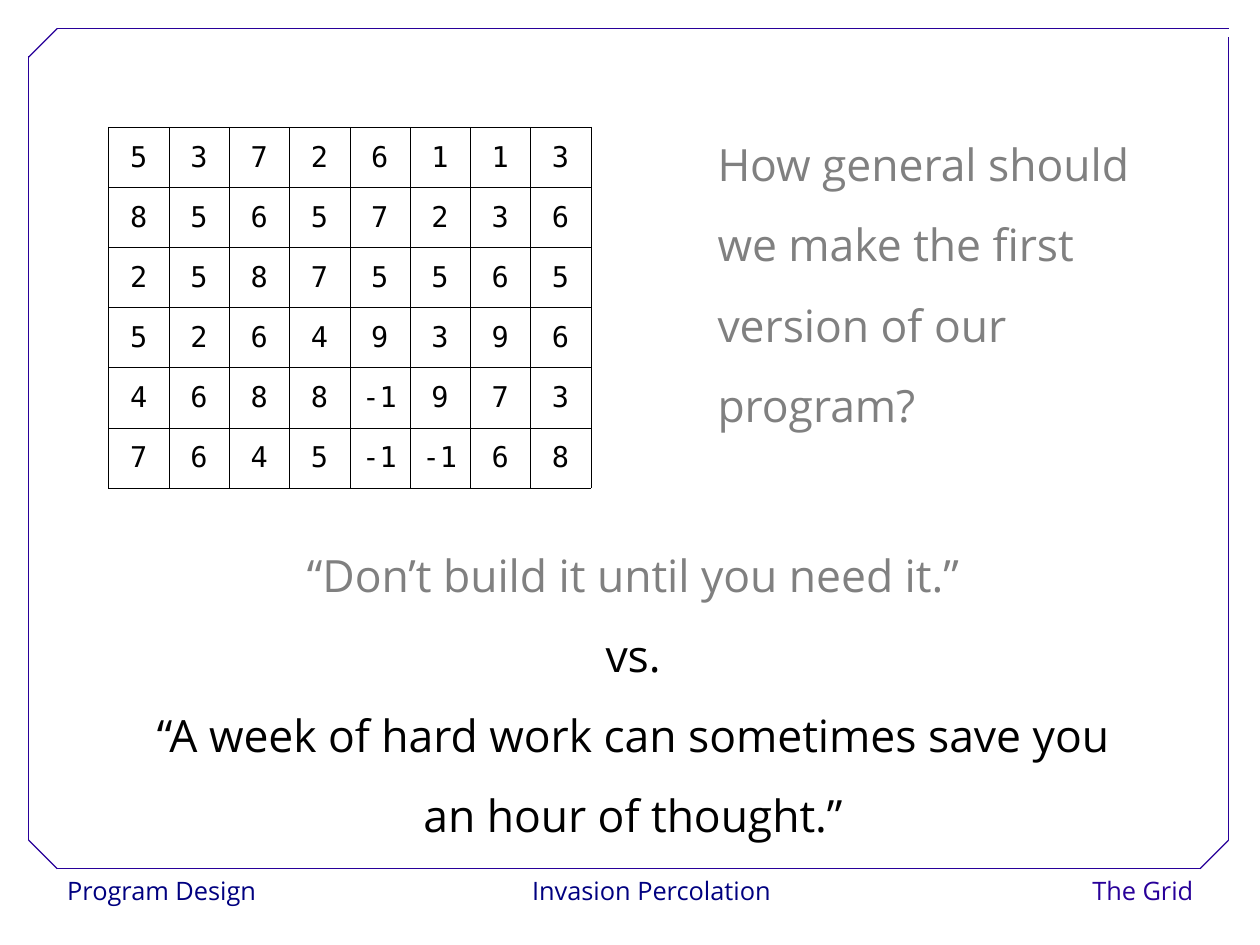
from lxml.etree import SubElement
from pptx import Presentation
from pptx.dml.color import RGBColor
from pptx.enum.shapes import MSO_CONNECTOR, MSO_SHAPE
from pptx.enum.text import MSO_ANCHOR, MSO_AUTO_SIZE, PP_ALIGN
from pptx.oxml.ns import qn
from pptx.util import Inches, Pt

WHITE = RGBColor(0xFF, 0xFF, 0xFF)
BLACK = RGBColor(0x00, 0x00, 0x00)
GRAY = RGBColor(0x80, 0x80, 0x80)
NAVY = RGBColor(0x00, 0x00, 0x80)
INDIGO = RGBColor(0x28, 0x00, 0x99)

GRID = [
    [5, 3, 7, 2, 6, 1, 1, 3],
    [8, 5, 6, 5, 7, 2, 3, 6],
    [2, 5, 8, 7, 5, 5, 6, 5],
    [5, 2, 6, 4, 9, 3, 9, 6],
    [4, 6, 8, 8, -1, 9, 7, 3],
    [7, 6, 4, 5, -1, -1, 6, 8],
]
FRAME = [
    (0.5, 7.6, 10.5, 7.6),
    (0.25, 7.35, 0.25, 0.49),
    (0.5, 0.25, 10.75, 0.25),
    (10.75, 7.35, 10.75, 0.32),
    (0.25, 0.5, 0.5, 0.25),
    (10.5, 7.6, 10.75, 7.35),
    (0.25, 7.35, 0.5, 7.6),
]
FOOTERS = [
    ("Program Design", 0.49, 1.8, PP_ALIGN.LEFT, NAVY),
    ("Invasion Percolation", 4.58, 2.24, PP_ALIGN.CENTER, NAVY),
    ("The Grid", 9.14, 1.4, PP_ALIGN.RIGHT, INDIGO),
]
QUESTION = ["How general should", "we make the first", "version of our", "program?"]
MAXIMS = [
    ("“Don’t build it until you need it.”", GRAY),
    ("vs.", BLACK),
    ("“A week of hard work can sometimes save you", BLACK),
    ("an hour of thought.”", BLACK),
]


class SlideBuilder:
    sans, mono = "Open Sans", "DejaVu Sans Mono"

    def __init__(self, slide):
        self.shapes = slide.shapes

    def style(self, p, size, color, align, spacing=1.02, font=sans):
        p.alignment = align
        p.line_spacing = spacing
        p.font.name = font
        p.font.size = Pt(size)
        p.font.color.rgb = color

    def footer(self, text, x, w, align, color):
        s = self.shapes.add_shape(MSO_SHAPE.RECTANGLE, Inches(x), Inches(7.6), Inches(w), Inches(0.4))
        s.shadow.inherit = False
        s.fill.solid()
        s.fill.fore_color.rgb = WHITE
        s.line.fill.background()
        tf = s.text_frame
        tf.word_wrap = False
        tf.vertical_anchor = MSO_ANCHOR.TOP
        tf.text = text
        self.style(tf.paragraphs[0], 16, color, align)

    def line(self, x1, y1, x2, y2):
        c = self.shapes.add_connector(
            MSO_CONNECTOR.STRAIGHT, Inches(x1), Inches(y1), Inches(x2), Inches(y2))
        c.line.color.rgb = INDIGO
        c.line.width = Pt(0.75)
        SubElement(c._element.spPr, qn("a:effectLst"))

    def text(self, lines, x, y, w, h, align, wrap):
        """Add a text box with one paragraph per (text, colour) pair."""
        tf = self.shapes.add_textbox(Inches(x), Inches(y), Inches(w), Inches(h)).text_frame
        tf.word_wrap = wrap
        tf.auto_size = MSO_AUTO_SIZE.SHAPE_TO_FIT_TEXT
        for i, (line, color) in enumerate(lines):
            p = tf.add_paragraph() if i else tf.paragraphs[0]
            p.text = line
            self.style(p, 28, color, align, 1.5)

    def border(self, cell):
        tcPr = cell._tc.get_or_add_tcPr()
        for side in ("lnL", "lnR", "lnT", "lnB"):
            ln = SubElement(tcPr, qn(f"a:{side}"), w=str(Pt(0.06)))
            fill = SubElement(ln, qn("a:solidFill"))
            SubElement(fill, qn("a:srgbClr"), val=str(BLACK))

    def table(self, rows, x, y, w, h):
        table = self.shapes.add_table(
            len(rows), len(rows[0]), Inches(x), Inches(y), Inches(w), Inches(h)).table
        table.first_row = table.horz_banding = False
        for r, row in enumerate(rows):
            for c, value in enumerate(row):
                cell = table.cell(r, c)
                cell.text = str(value)
                cell.vertical_anchor = MSO_ANCHOR.MIDDLE
                self.border(cell)
                cell.fill.background()
                self.style(cell.text_frame.paragraphs[0], 18, BLACK, PP_ALIGN.CENTER, font=self.mono)


def main():
    prs = Presentation()
    prs.slide_width = Pt(793.75)
    prs.slide_height = Pt(595.25)
    builder = SlideBuilder(prs.slides.add_slide(prs.slide_layouts[6]))
    for footer in FOOTERS:
        builder.footer(*footer)
    for ends in FRAME:
        builder.line(*ends)
    builder.text([(line, GRAY) for line in QUESTION], 6.18, 0.92, 3.86, 2.9, PP_ALIGN.LEFT, False)
    builder.table(GRID, 0.95, 1.11, 4.22, 3.16)
    builder.text(MAXIMS, 0.91, 4.51, 9.26, 2.9, PP_ALIGN.CENTER, True)
    prs.save("out.pptx")


if __name__ == "__main__":
    main()
